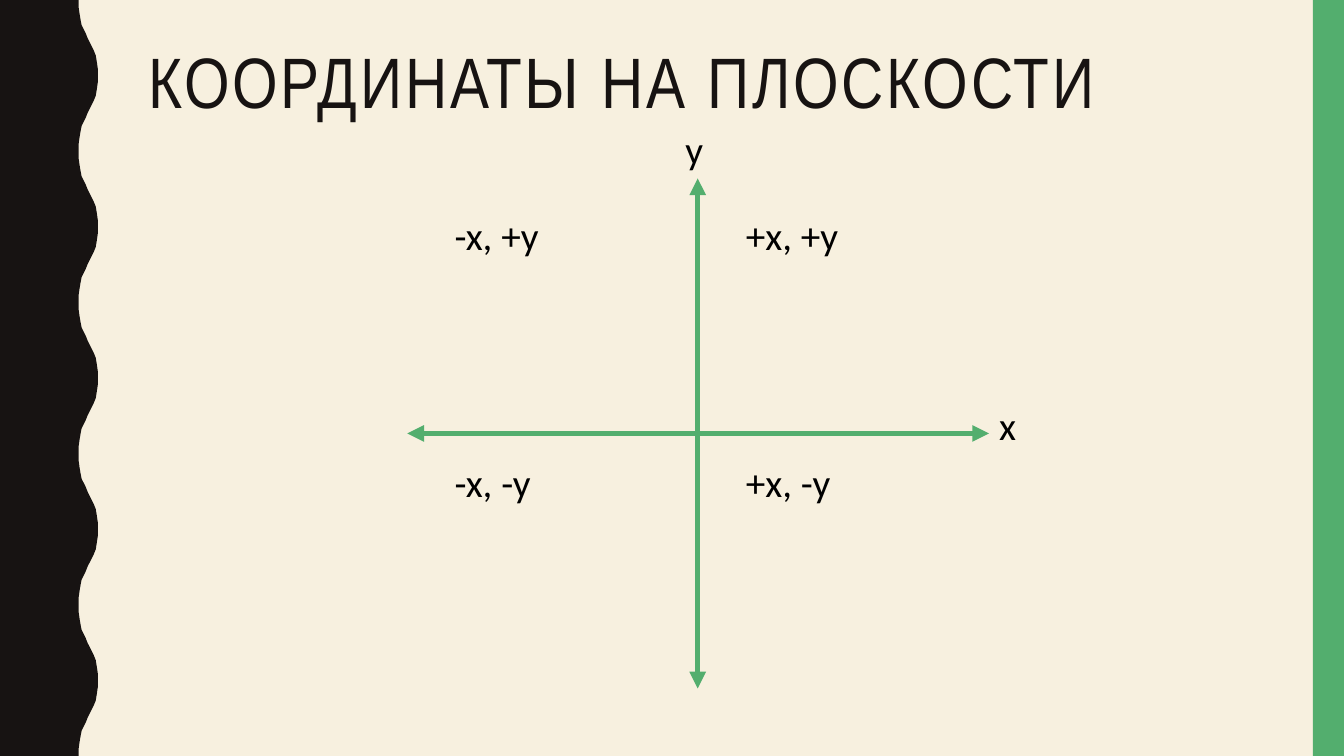
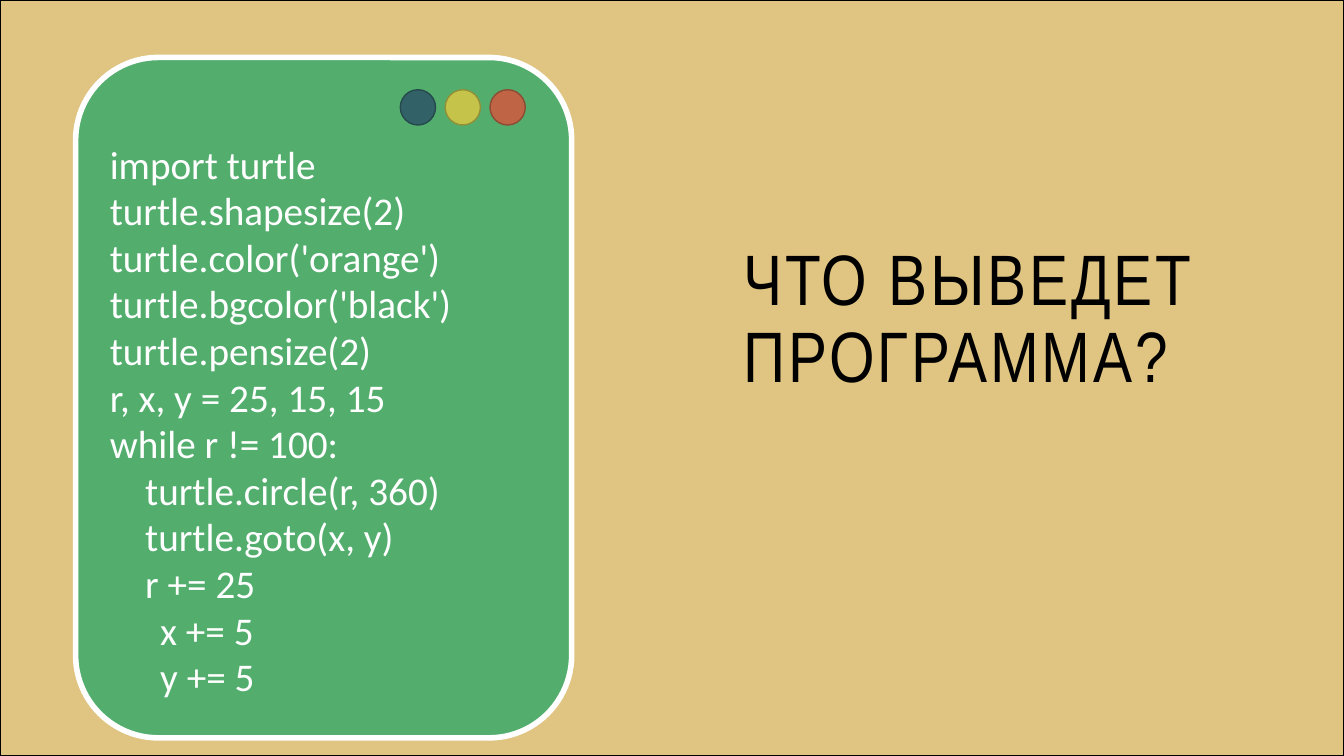
"""Build two lesson slides: plane coordinates and a turtle program question."""
from dataclasses import dataclass

from lxml.etree import SubElement
from pptx import Presentation
from pptx.dml.color import RGBColor
from pptx.enum.shapes import MSO_CONNECTOR, MSO_SHAPE
from pptx.enum.text import MSO_ANCHOR, MSO_AUTO_SIZE, PP_ALIGN
from pptx.oxml.ns import qn
from pptx.shapes.autoshape import Shape
from pptx.slide import Slide
from pptx.text.text import _Paragraph as Paragraph
from pptx.text.text import _Run as Run
from pptx.util import Inches, Pt

WIDTH, HEIGHT = 13.33, 7.5
CREAM, SAND, GREEN = "F7F0DF", "E0C481", "53AE6E"
INK, BLACK, WHITE = "171312", "000000", "FFFFFF"
TITLE_FONT, BODY_FONT = "Arial Narrow", "Calibri"
TITLE_SIZE, BODY_SIZE = 51, 28
LINE_WIDTH = 4

WAVE_LEFT, WAVE_RIGHT, WAVE_PERIOD = 0.78, 0.97, 1.5
WAVE_RISE = [
    (0.78, 0), (0.78, 0.07), (0.79, 0.14), (0.8, 0.2), (0.81, 0.25),
    (0.83, 0.29), (0.85, 0.33), (0.87, 0.38), (0.89, 0.42), (0.91, 0.46),
    (0.93, 0.5), (0.95, 0.55), (0.96, 0.61), (0.97, 0.68), (0.97, 0.75),
]


@dataclass(frozen=True)
class Box:
    left: float
    top: float
    width: float
    height: float

    def lengths(self) -> tuple[Inches, Inches, Inches, Inches]:
        return Inches(self.left), Inches(self.top), Inches(self.width), Inches(self.height)


@dataclass(frozen=True)
class Label:
    text: str
    box: Box


@dataclass(frozen=True)
class Axis:
    start: tuple[float, float]
    end: tuple[float, float]


@dataclass(frozen=True)
class CodeLine:
    text: str
    level: int = 0


@dataclass(frozen=True)
class WindowButton:
    fill: str
    line: str


COLUMNS, ROWS = (4.41, 7.3), (2.05, 4.5)
LABELS = [
    Label(f"{x_sign}x, {y_sign}y", Box(left, top, 2.14, 0.57))
    for y_sign, top in zip("+-", ROWS)
    for x_sign, left in zip("-+", COLUMNS)
] + [
    Label("y", Box(6.7, 1.19, 0.45, 0.57)),
    Label("x", Box(9.81, 3.93, 0.45, 0.57)),
]
AXES = [Axis((6.92, 1.77), (6.92, 6.83)), Axis((9.81, 4.3), (4.04, 4.3))]
CODE = [
    CodeLine("import turtle"),
    CodeLine("turtle.shapesize(2)"),
    CodeLine("turtle.color('orange')"),
    CodeLine("turtle.bgcolor('black')"),
    CodeLine("turtle.pensize(2)"),
    CodeLine("r, x, y = 25, 15, 15"),
    CodeLine("while r != 100:"),
    CodeLine("    turtle.circle(r, 360)"),
    CodeLine("    turtle.goto(x, y)"),
    CodeLine("    r += 25"),
    CodeLine("x += 5", 1),
    CodeLine("y += 5", 1),
]
BUTTONS = [
    WindowButton("326267", "25494C"),
    WindowButton("C5C34A", "929037"),
    WindowButton("BF6546", "8D4B34"),
]
BUTTON_LEFT, BUTTON_TOP, BUTTON_SIZE, BUTTON_STEP = 3.97, 0.89, 0.35, 0.445


def color(value: str) -> RGBColor:
    return RGBColor.from_string(value)


def style_shape(shape: Shape, fill: str, line: str | None = None, width: float = 1) -> None:
    shape.shadow.inherit = False
    shape.fill.solid()
    shape.fill.fore_color.rgb = color(fill)
    if line is None:
        shape.line.fill.background()
    else:
        shape.line.color.rgb = color(line)
        shape.line.width = Pt(width)


def add_preset(slide: Slide, preset: MSO_SHAPE, box: Box, fill: str,
               line: str | None = None, width: float = 1) -> Shape:
    shape = slide.shapes.add_shape(preset, *box.lengths())
    style_shape(shape, fill, line, width)
    return shape


def add_run(paragraph: Paragraph, text: str, font: str, size: float, ink: str) -> Run:
    run = paragraph.add_run()
    run.text = text
    run.font.name = font
    run.font.size = Pt(size)
    run.font.color.rgb = color(ink)
    return run


def add_title(slide: Slide, text: str, box: Box, ink: str) -> None:
    frame = slide.shapes.add_textbox(*box.lengths()).text_frame
    frame.word_wrap = True
    paragraph = frame.paragraphs[0]
    paragraph.line_spacing = 0.9
    run = add_run(paragraph, text, TITLE_FONT, TITLE_SIZE, ink)
    run.font._element.set("spc", "200")


def add_label(slide: Slide, label: Label) -> None:
    frame = slide.shapes.add_textbox(*label.box.lengths()).text_frame
    frame.word_wrap = True
    frame.auto_size = MSO_AUTO_SIZE.SHAPE_TO_FIT_TEXT
    add_run(frame.paragraphs[0], label.text, BODY_FONT, BODY_SIZE, BLACK)


def add_axis(slide: Slide, axis: Axis) -> None:
    ends = [Inches(value) for value in axis.start + axis.end]
    connector = slide.shapes.add_connector(MSO_CONNECTOR.STRAIGHT, *ends)
    connector.line.color.rgb = color(GREEN)
    connector.line.width = Pt(LINE_WIDTH)
    outline = connector.line._get_or_add_ln()
    for end in ("a:headEnd", "a:tailEnd"):
        SubElement(outline, qn(end), type="triangle")
    SubElement(connector._element.spPr, qn("a:effectLst"))


def add_wave(slide: Slide) -> None:
    fall = [(x, WAVE_PERIOD - y) for x, y in reversed(WAVE_RISE[1:-1])]
    period = WAVE_RISE + fall
    edge = [
        (x, y + index * WAVE_PERIOD)
        for index in range(round(HEIGHT / WAVE_PERIOD))
        for x, y in period
    ]
    points = edge + [(WAVE_LEFT, HEIGHT), (0, HEIGHT)]
    builder = slide.shapes.build_freeform(0, 0)
    builder.add_line_segments([(Inches(x), Inches(y)) for x, y in points], close=True)
    style_shape(builder.convert_to_shape(), INK)


def add_code_panel(slide: Slide) -> None:
    panel = add_preset(slide, MSO_SHAPE.ROUNDED_RECTANGLE, Box(0.75, 0.57, 4.92, 6.75),
                       GREEN, WHITE, LINE_WIDTH)
    frame = panel.text_frame
    frame.word_wrap = True
    frame.vertical_anchor = MSO_ANCHOR.MIDDLE
    frame.margin_top = Inches(0.52)
    for index, line in enumerate(CODE):
        paragraph = frame.add_paragraph() if index else frame.paragraphs[0]
        paragraph.alignment = PP_ALIGN.LEFT
        paragraph.level = line.level
        paragraph.line_spacing = 0.99
        add_run(paragraph, line.text, BODY_FONT, BODY_SIZE, WHITE)
    for index, button in enumerate(BUTTONS):
        box = Box(BUTTON_LEFT + index * BUTTON_STEP, BUTTON_TOP, BUTTON_SIZE, BUTTON_SIZE)
        add_preset(slide, MSO_SHAPE.OVAL, box, button.fill, button.line)


def add_blank_slide(presentation: Presentation) -> Slide:
    slide = presentation.slides.add_slide(presentation.slide_layouts[6])
    slide.background.fill.solid()
    slide.background.fill.fore_color.rgb = color(CREAM)
    return slide


def build_coordinates(presentation: Presentation) -> None:
    slide = add_blank_slide(presentation)
    add_wave(slide)
    add_preset(slide, MSO_SHAPE.RECTANGLE, Box(13.02, 0, 0.31, HEIGHT), GREEN)
    add_title(slide, "КООРДИНАТЫ НА ПЛОСКОСТИ", Box(1.37, 0.42, 11.13, 1.63), INK)
    for axis in AXES:
        add_axis(slide, axis)
    for label in LABELS:
        add_label(slide, label)


def build_question(presentation: Presentation) -> None:
    slide = add_blank_slide(presentation)
    add_preset(slide, MSO_SHAPE.RECTANGLE, Box(0, 0, WIDTH, HEIGHT), SAND, BLACK)
    add_title(slide, "ЧТО ВЫВЕДЕТ ПРОГРАММА?", Box(7.28, 2.37, 6, 1.63), BLACK)
    add_code_panel(slide)


def main() -> None:
    presentation = Presentation()
    presentation.slide_width = Inches(WIDTH)
    presentation.slide_height = Inches(HEIGHT)
    build_coordinates(presentation)
    build_question(presentation)
    presentation.save("out.pptx")


if __name__ == "__main__":
    main()
